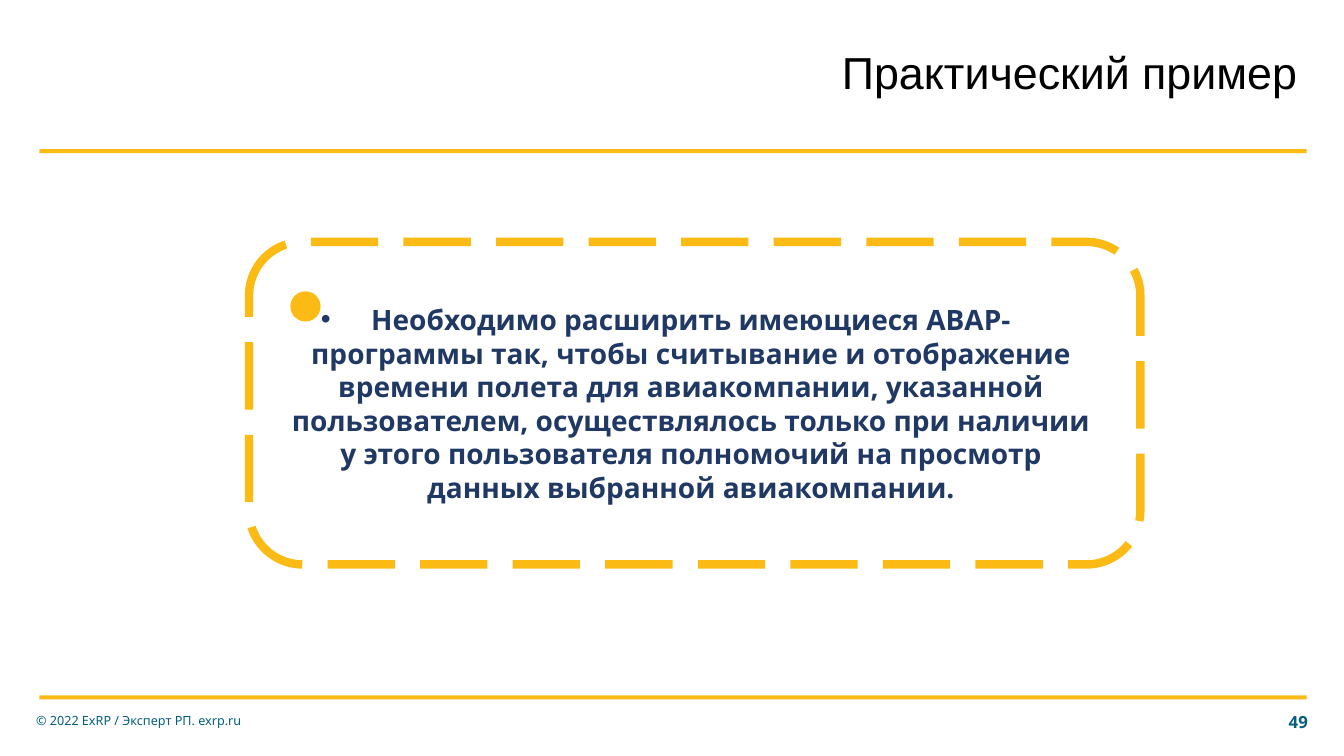
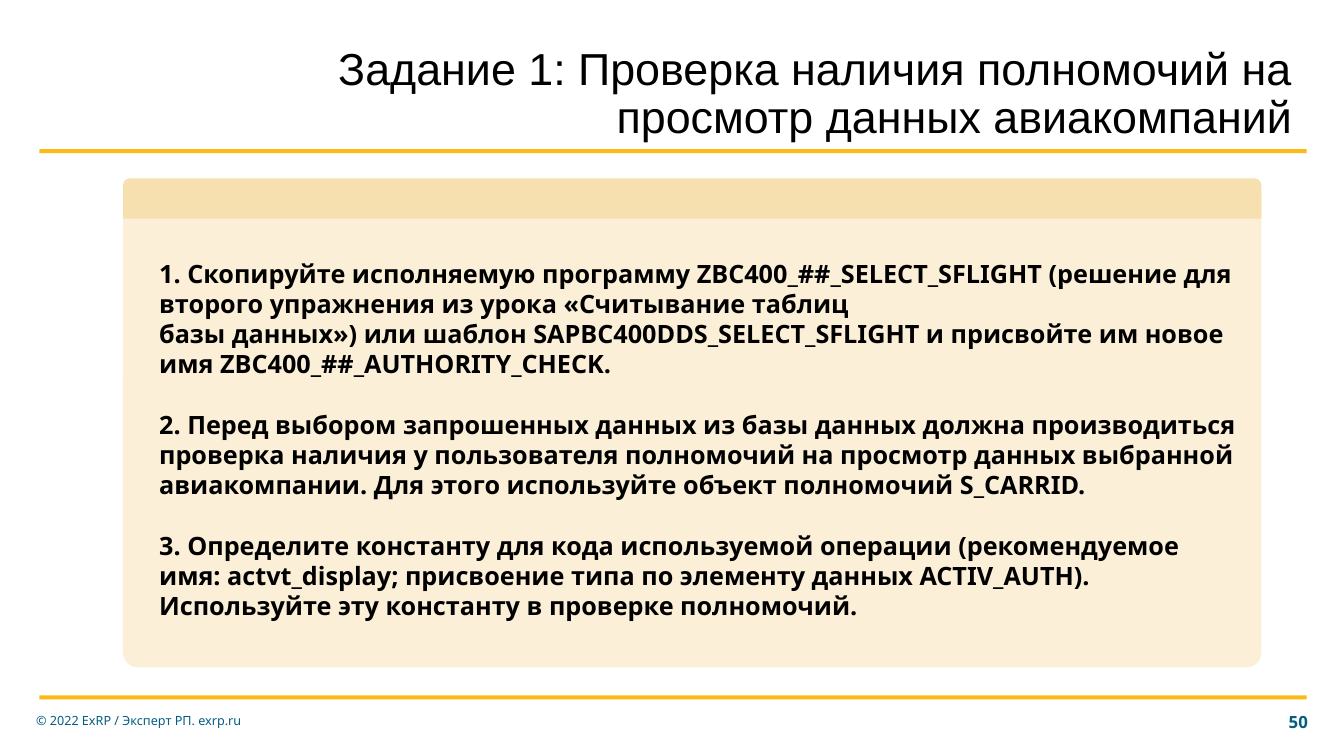
"""Build two training slides: a practical example and its first task."""
from lxml import etree
from pptx import Presentation
from pptx import util as u
from pptx.dml.color import RGBColor
from pptx.enum import dml, shapes, text
from pptx.oxml import ns

GOLD = RGBColor(0xFC, 0xBA, 0x14)
SAND = RGBColor(0xF7, 0xE0, 0xB0)
CREAM = RGBColor(0xFB, 0xEF, 0xD8)
NAVY = RGBColor(0x20, 0x38, 0x64)
TEAL = RGBColor(0x05, 0x5E, 0x80)
BLACK = RGBColor(0, 0, 0)

CENTER = text.PP_ALIGN.CENTER
RIGHT = text.PP_ALIGN.RIGHT
SHAPE = shapes.MSO_SHAPE

EVEN_INSETS = (0.1, 0.05, 0.1, 0.05)
TITLE_INSETS = (0, 0, 0.1, 0.05)
BODY_INSETS = (0.1, 0.05, 0, 0.05)

FOOTER = "© 2022 ExRP / Эксперт РП. exrp.ru"
EXAMPLE = (
    "Необходимо расширить имеющиеся ABAP-программы так, чтобы считывание и "
    "отображение времени полета для авиакомпании, указанной пользователем, "
    "осуществлялось только при наличии у этого пользователя полномочий на "
    "просмотр данных выбранной авиакомпании."
)
TASK_STEPS = [
    ("1. Скопируйте исполняемую программу ZBC400_##_SELECT_SFLIGHT (решение для "
     "второго упражнения из урока «Считывание таблиц", 0),
    ("базы данных») или шаблон SAPBC400DDS_SELECT_SFLIGHT и присвойте им новое "
     "имя ZBC400_##_AUTHORITY_CHECK.", 0),
    ("2. Перед выбором запрошенных данных из базы данных должна производиться "
     "проверка наличия у пользователя полномочий на просмотр данных выбранной "
     "авиакомпании. Для этого используйте объект полномочий S_CARRID.", 21.6),
    ("3. Определите константу для кода используемой операции (рекомендуемое "
     "имя: actvt_display; присвоение типа по элементу данных ACTIV_AUTH). "
     "Используйте эту константу в проверке полномочий.", 21.6),
]


class Deck:
    """Hold the shared style and the slide being drawn."""

    title_font = {"name": "Arial", "size": u.Pt(32), "color": BLACK}
    footer_font = {"name": "Noto Sans", "size": u.Pt(9), "color": TEAL}
    number_font = {"name": "Noto Sans", "size": u.Pt(12), "color": TEAL, "bold": True}
    example_font = {"name": "Noto Sans", "size": u.Pt(20), "color": NAVY, "bold": True}
    task_font = {"name": "Noto Sans", "size": u.Pt(18), "color": BLACK, "bold": True}

    def __init__(self):
        """Start an empty widescreen presentation."""
        self.presentation = Presentation()
        self.presentation.slide_width = u.Inches(13.33)
        self.presentation.slide_height = u.Inches(7.5)
        self.slide = None

    def add_slide(self, title, title_box, number):
        """Add a slide with its rules, title and footer."""
        layout = self.presentation.slide_layouts[6]
        self.slide = self.presentation.slides.add_slide(layout)
        for top in (1.48, 6.9):
            self.add_shape(SHAPE.RECTANGLE, (0.39, top, 12.57, 0.04), fill=GOLD)
        self.add_text([(title, 0)], title_box, self.title_font, TITLE_INSETS,
                      alignment=RIGHT, line_spacing=0.9)
        self.add_text([(FOOTER, 0)], (0.26, 6.95, 2.85, 0.4), self.footer_font)
        self.add_text([(str(number), 0)], (12.42, 6.96, 0.65, 0.4),
                      self.number_font, alignment=RIGHT)

    def add_shape(self, kind, box, fill=None, corner=None):
        """Draw a filled shape without outline, or an unfilled one."""
        shape = self.slide.shapes.add_shape(kind, *map(u.Inches, box))
        shape.shadow.inherit = False
        shape.line.fill.background()
        if fill is None:
            shape.fill.background()
        else:
            shape.fill.solid()
            shape.fill.fore_color.rgb = fill
        if corner is not None:
            shape.adjustments[0] = corner
        return shape

    def add_dashed_frame(self, box):
        """Draw a rounded frame with a heavy dashed outline."""
        line = self.add_shape(SHAPE.ROUNDED_RECTANGLE, box).line
        line.color.rgb = GOLD
        line.width = u.Pt(6)
        line.dash_style = dml.MSO_LINE.LONG_DASH

    def add_text(self, paragraphs, box, font, insets=EVEN_INSETS, bullet=False,
                 **layout):
        """Place paragraphs, given as text and space before, in a text box."""
        frame = self.slide.shapes.add_textbox(*map(u.Inches, box)).text_frame
        frame.word_wrap = True
        frame.vertical_anchor = text.MSO_ANCHOR.MIDDLE
        for side, inset in zip(("left", "top", "right", "bottom"), insets):
            setattr(frame, f"margin_{side}", u.Inches(inset))
        for index, (words, gap) in enumerate(paragraphs):
            paragraph = frame.add_paragraph() if index else frame.paragraphs[0]
            if gap:
                paragraph.space_before = u.Pt(gap)
            for name, value in layout.items():
                setattr(paragraph, name, value)
            if bullet:
                self.add_bullet(paragraph)
            run = paragraph.add_run()
            run.text = words
            for name, value in font.items():
                if name == "color":
                    run.font.color.rgb = value
                else:
                    setattr(run.font, name, value)

    @staticmethod
    def add_bullet(paragraph):
        """Give a paragraph a hanging round bullet."""
        properties = paragraph._p.get_or_add_pPr()
        properties.set("marL", str(u.Inches(0.5)))
        properties.set("indent", str(u.Inches(-0.5)))
        etree.SubElement(properties, ns.qn("a:buFont"), typeface="Arial")
        etree.SubElement(properties, ns.qn("a:buChar"), char="•")


def main():
    """Build both slides and save them."""
    deck = Deck()

    deck.add_slide("Практический пример", (7.39, 0.49, 5.58, 0.55), 49)
    deck.add_text([(EXAMPLE, 0)], (2.25, 2.94, 8.61, 2.12), deck.example_font,
                  BODY_INSETS, bullet=True, alignment=CENTER)
    deck.add_dashed_frame((2.47, 2.4, 8.84, 3.2))
    deck.add_shape(SHAPE.OVAL, (2.88, 2.89, 0.3, 0.3), fill=GOLD)

    deck.add_slide("Задание 1: Проверка наличия полномочий на просмотр данных авиакомпаний",
                   (2.93, 0.45, 9.99, 1.03), 50)
    deck.add_shape(SHAPE.ROUNDED_RECTANGLE, (1.22, 1.78, 11.29, 4.84),
                   fill=CREAM, corner=0.03)
    deck.add_text(TASK_STEPS, (1.48, 2.49, 10.78, 3.74), deck.task_font, BODY_INSETS)
    deck.add_shape(SHAPE.ROUND_2_SAME_RECTANGLE, (1.22, 1.77, 11.29, 0.4), fill=SAND)

    deck.presentation.save("out.pptx")


if __name__ == "__main__":
    main()
